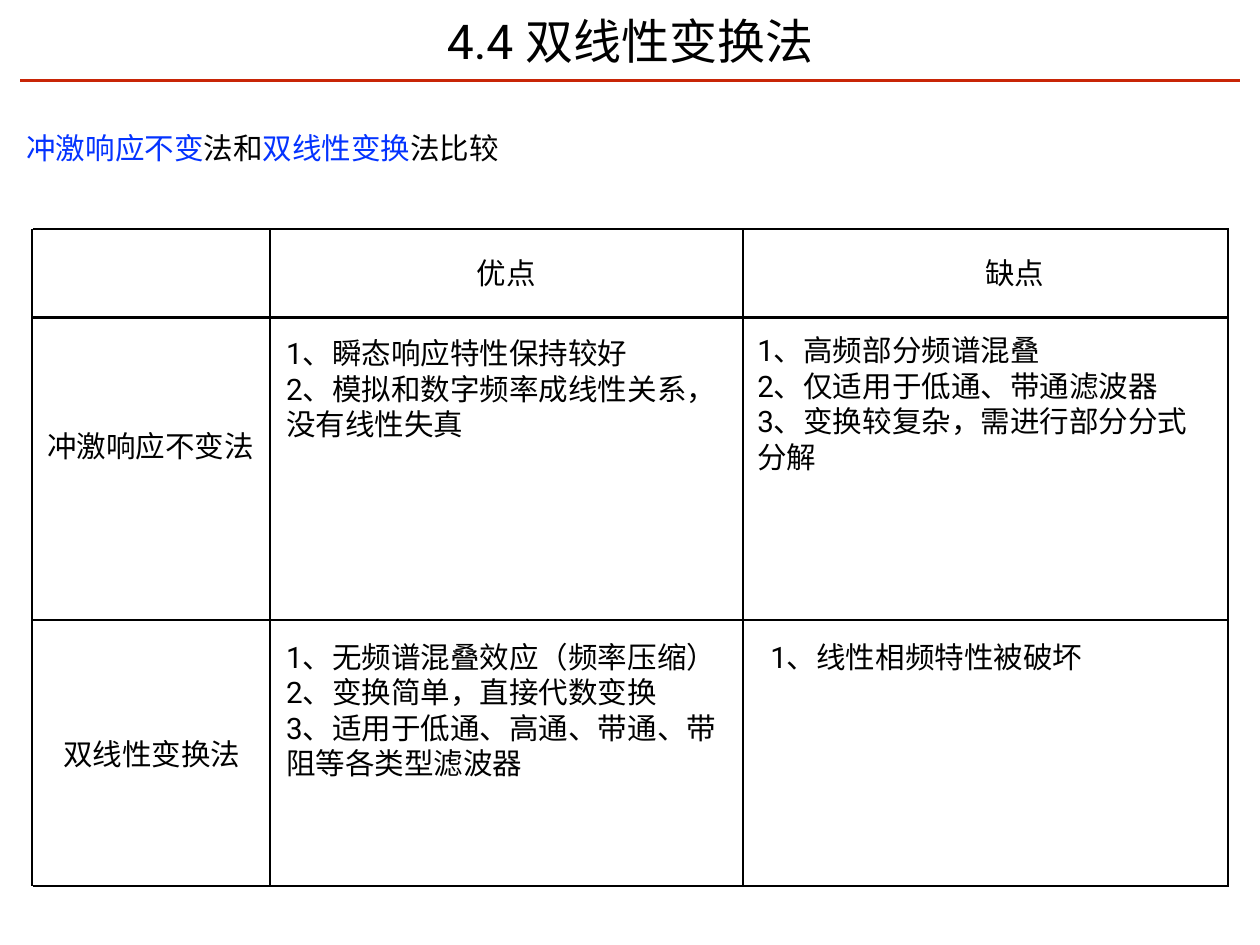
from lxml.etree import SubElement
from pptx import Presentation
from pptx.dml.color import RGBColor
from pptx.enum.shapes import MSO_CONNECTOR
from pptx.enum.text import MSO_ANCHOR, MSO_AUTO_SIZE, PP_ALIGN
from pptx.oxml.ns import qn
from pptx.util import Pt

BLACK = RGBColor(0x00, 0x00, 0x00)
RED = RGBColor(0xC8, 0x25, 0x06)
BLUE = RGBColor(0x04, 0x33, 0xFF)
FONT = "Roboto"

presentation = Presentation()
presentation.slide_width = Pt(1024)
presentation.slide_height = Pt(768)
slide = presentation.slides.add_slide(presentation.slide_layouts[6])


def add_text(paragraphs, left, top, width, height, size=24, align=PP_ALIGN.LEFT,
             anchor=MSO_ANCHOR.TOP, wrap=True, auto_size=MSO_AUTO_SIZE.SHAPE_TO_FIT_TEXT):
    """Each paragraph is a list of (text, colour) runs or a plain black string."""
    shape = slide.shapes.add_textbox(Pt(left), Pt(top), Pt(width), Pt(height))
    frame = shape.text_frame
    frame.word_wrap = wrap
    frame.auto_size = auto_size
    frame.vertical_anchor = anchor
    frame.margin_left = frame.margin_right = Pt(4)
    frame.margin_top = frame.margin_bottom = Pt(4)
    for index, content in enumerate(paragraphs):
        paragraph = frame.add_paragraph() if index else frame.paragraphs[0]
        paragraph.alignment = align
        runs = [(content, BLACK)] if isinstance(content, str) else content
        for text, color in runs:
            run = paragraph.add_run()
            run.text = text
            run.font.name = FONT
            run.font.size = Pt(size)
            run.font.color.rgb = color


def add_line(x1, y1, x2, y2, color=BLACK):
    line = slide.shapes.add_connector(MSO_CONNECTOR.STRAIGHT, Pt(x1), Pt(y1), Pt(x2), Pt(y2))
    line.line.color.rgb = color
    line.line.width = Pt(2)
    SubElement(line._element.spPr, qn("a:effectLst"))


# Title and rule
add_text(["4.4 双线性变换法"], 75, -1, 874, 67, size=39, align=PP_ALIGN.CENTER,
         anchor=MSO_ANCHOR.MIDDLE, auto_size=MSO_AUTO_SIZE.NONE)
add_line(16.5, 65.5, 1007.5, 65.5, RED)

# Subtitle
add_text([[("冲激响应不变", BLUE), ("法和", BLACK), ("双线性变换", BLUE), ("法比较", BLACK)]],
         17.5, 101.5, 393, 41, wrap=False)

# Comparison grid
row_edges = [186, 258, 504, 720]
column_edges = [26, 219.5, 604, 998]
for y in row_edges:
    add_line(27, y, 998.5, y)
for x in column_edges:
    add_line(x, row_edges[0], x, row_edges[-1])

# Column and row headings
headings = [
    ("优点", 383, 201.5, 57),
    ("缺点", 796, 201.5, 57),
    ("冲激响应不变法", 34, 341.5, 177),
    ("双线性变换法", 47, 592, 153),
]
for text, left, top, width in headings:
    add_text([text], left, top, width, 41, align=PP_ALIGN.CENTER,
             anchor=MSO_ANCHOR.MIDDLE, wrap=False)

# Advantages and drawbacks of each method
cells = [
    (["1、瞬态响应特性保持较好", "2、模拟和数字频率成线性关系，没有线性失真"],
     228.5, 268.5, 368, 107),
    (["1、高频部分频谱混叠", "2、仅适用于低通、带通滤波器", "3、变换较复杂，需进行部分分式分解"],
     611.5, 266, 368, 140),
    (["1、无频谱混叠效应（频率压缩）", "2、变换简单，直接代数变换",
      "3、适用于低通、高通、带通、带阻等各类型滤波器"],
     228.5, 515, 376.5, 140),
    (["1、线性相频特性被破坏"], 622, 515, 262, 41),
]
for paragraphs, left, top, width, height in cells:
    add_text(paragraphs, left, top, width, height)

presentation.save("out.pptx")
